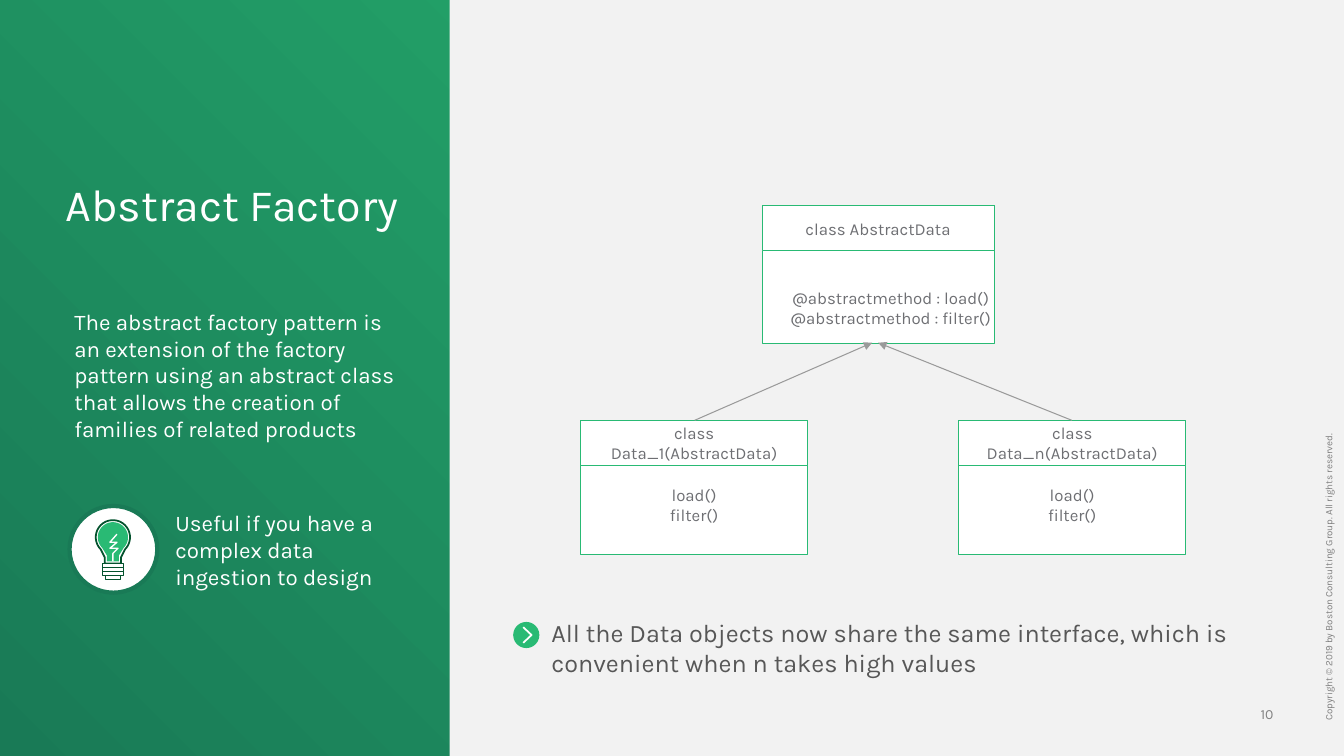
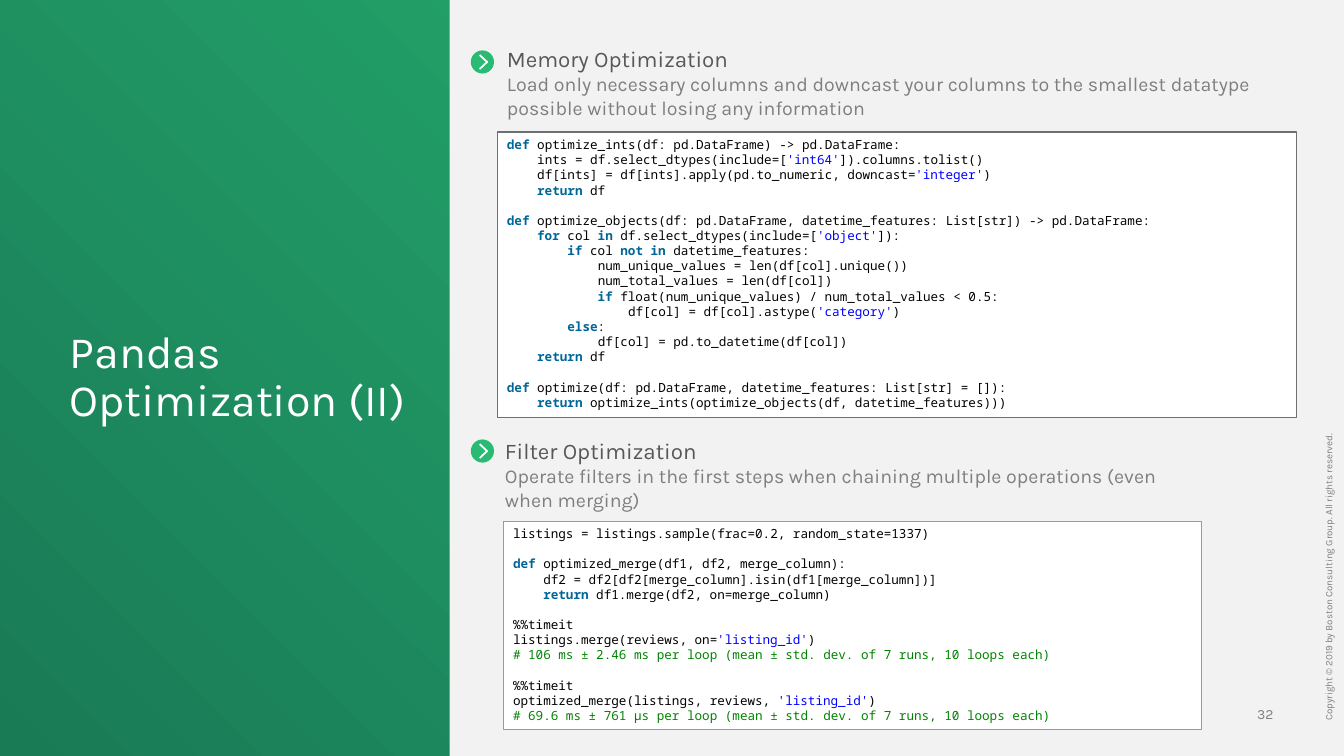
from dataclasses import dataclass
from itertools import groupby
from math import cos, radians, sin

from lxml import etree
from pptx import Presentation
from pptx.dml.color import RGBColor
from pptx.enum.shapes import MSO_CONNECTOR, MSO_SHAPE
from pptx.enum.text import MSO_ANCHOR, PP_ALIGN
from pptx.oxml.ns import qn
from pptx.util import Inches, Pt

RECTANGLE, OVAL = MSO_SHAPE.RECTANGLE, MSO_SHAPE.OVAL
STRAIGHT = MSO_CONNECTOR.STRAIGHT
TOP, MIDDLE, BOTTOM = MSO_ANCHOR.TOP, MSO_ANCHOR.MIDDLE, MSO_ANCHOR.BOTTOM
LEFT, CENTER, RIGHT = PP_ALIGN.LEFT, PP_ALIGN.CENTER, PP_ALIGN.RIGHT


@dataclass(frozen=True)
class Theme:
    font: str = "Karla"
    code_font: str = "Noto Sans Mono"
    green: str = "29BA74"
    deep_green: str = "197A56"
    bulb: str = "03522D"
    white: str = "FFFFFF"
    page: str = "F2F2F2"
    heading: str = "575757"
    detail: str = "7F7F7F"
    footer: str = "808080"
    label: str = "6E6F73"
    rule: str = "9A9A9A"
    code: str = "000000"
    keyword: str = "006699"
    string: str = "0000FF"
    comment: str = "008200"
    title_size: float = 32
    message_size: float = 18
    body_size: float = 16
    detail_size: float = 14
    label_size: float = 12
    page_size: float = 10
    code_size: float = 9
    legal_size: float = 7


THEME = Theme()

# Content
COPYRIGHT = "Copyright © 2019 by Boston Consulting Group. All rights reserved."
FACTORY_TITLE = "Abstract Factory"
FACTORY_TEXT = ("The abstract factory pattern is an extension of the factory pattern using an "
                "abstract class that allows the creation of families of related products")
FACTORY_TIP = "Useful if you have a complex data ingestion to design"
FACTORY_MESSAGE = ("All the Data objects now share the same interface, which is convenient "
                   "when n takes high values")
# Class name, box, left and top of its methods, methods
CLASSES = [
    ("class AbstractData", (7.56, 2.04, 2.3, 1.37), (7.71, 2.66),
     ["@abstractmethod : load()", "@abstractmethod : filter()"]),
    ("class Data_1(AbstractData)", (5.76, 4.17, 2.25, 1.33), (5.76, 4.62),
     ["load()", "filter()"]),
    ("class Data_n(AbstractData)", (9.51, 4.17, 2.25, 1.33), (9.51, 4.62),
     ["load()", "filter()"]),
]
INHERITANCE = [((6.89, 4.17), (8.65, 3.4)), ((10.63, 4.17), (8.71, 3.4))]

PANDAS_TITLE = "Pandas Optimization (II)"
# Each listing is a list of blocks, set apart by the height of one line
MEMORY_CODE = [
    ["def optimize_ints(df: pd.DataFrame) -> pd.DataFrame:",
     "    ints = df.select_dtypes(include=['int64']).columns.tolist()",
     "    df[ints] = df[ints].apply(pd.to_numeric, downcast='integer')",
     "    return df"],
    ["def optimize_objects(df: pd.DataFrame, datetime_features: List[str]) -> pd.DataFrame:",
     "    for col in df.select_dtypes(include=['object']):",
     "        if col not in datetime_features:",
     "            num_unique_values = len(df[col].unique())",
     "            num_total_values = len(df[col])",
     "            if float(num_unique_values) / num_total_values < 0.5:",
     "                df[col] = df[col].astype('category')",
     "        else:",
     "            df[col] = pd.to_datetime(df[col])",
     "    return df"],
    ["def optimize(df: pd.DataFrame, datetime_features: List[str] = []):",
     "    return optimize_ints(optimize_objects(df, datetime_features)))"],
]
FILTER_CODE = [
    ["listings = listings.sample(frac=0.2, random_state=1337)"],
    ["def optimized_merge(df1, df2, merge_column):",
     "    df2 = df2[df2[merge_column].isin(df1[merge_column])]",
     "    return df1.merge(df2, on=merge_column)"],
    ["%%timeit",
     "listings.merge(reviews, on='listing_id')",
     "# 106 ms ± 2.46 ms per loop (mean ± std. dev. of 7 runs, 10 loops each)"],
    ["%%timeit",
     "optimized_merge(listings, reviews, 'listing_id')",
     "# 69.6 ms ± 761 µs per loop (mean ± std. dev. of 7 runs, 10 loops each)"],
]
# Heading, detail, text box, bullet top, code, code box, code border
SECTIONS = [
    ("Memory Optimization",
     "Load only necessary columns and downcast your columns to the smallest datatype "
     "possible without losing any information",
     (4.93, 0.38, 7.86, 0.87), 0.5, MEMORY_CODE, (4.93, 1.31, 7.93, 2.83), THEME.label),
    ("Filter Optimization",
     "Operate filters in the first steps when chaining multiple operations "
     "(even when merging)",
     (4.91, 4.27, 7.01, 0.87), 4.36, FILTER_CODE, (4.99, 5.17, 6.93, 2.07), THEME.rule),
]
KEYWORDS = {"def", "return", "for", "in", "if", "not", "else"}


# Drawing helpers
def rgb(color):
    return RGBColor.from_string(color)


def style(shape, fill=None, line=None, width=0.75):
    shape.shadow.inherit = False
    if fill:
        shape.fill.solid()
        shape.fill.fore_color.rgb = rgb(fill)
    else:
        shape.fill.background()
    if line:
        shape.line.color.rgb = rgb(line)
        shape.line.width = Pt(width)
    else:
        shape.line.fill.background()
    return shape


def add_shape(slide, kind, box, fill, line=None, width=0.75):
    shape = slide.shapes.add_shape(kind, *map(Inches, box))
    return style(shape, fill, line, width)


def add_outline(slide, points, close=False, **look):
    points = [(Inches(x), Inches(y)) for x, y in points]
    builder = slide.shapes.build_freeform(*points[0], scale=1.0)
    builder.add_line_segments(points[1:], close=close)
    return style(builder.convert_to_shape(), **look)


def format_font(font, size, color, name=THEME.font):
    font.name, font.size, font.color.rgb = name, Pt(size), rgb(color)


def write(shape, lines, anchor=MIDDLE, align=LEFT, inset=True, spacing=None):
    """Fill a shape with (text, size, color) lines."""
    frame = shape.text_frame
    frame.word_wrap, frame.vertical_anchor = True, anchor
    if not inset:
        frame.margin_left = frame.margin_right = frame.margin_top = frame.margin_bottom = 0
    for index, (text, size, color) in enumerate(lines):
        paragraph = frame.paragraphs[0] if index == 0 else frame.add_paragraph()
        paragraph.text, paragraph.alignment = text, align
        if spacing:
            paragraph.line_spacing = spacing
        format_font(paragraph.font, size, color)


def add_text(slide, box, lines, **options):
    shape = slide.shapes.add_textbox(*map(Inches, box))
    write(shape, lines, **options)
    return shape


def add_arrow(slide, start, end):
    arrow = slide.shapes.add_connector(STRAIGHT, *map(Inches, start + end))
    arrow.line.color.rgb, arrow.line.width = rgb(THEME.rule), Pt(0.75)
    properties = arrow.line._get_or_add_ln()
    etree.SubElement(properties, qn("a:tailEnd"), type="triangle")
    etree.SubElement(arrow._element.spPr, qn("a:effectLst"))


def add_chevron_bullet(slide, left, top, size):
    add_shape(slide, OVAL, (left, top, size, size), THEME.green)
    chevron = [(0.38, 0.2), (0.7, 0.5), (0.38, 0.8)]
    add_outline(slide, [(left + x * size, top + y * size) for x, y in chevron],
                line=THEME.white, width=1.25)


# Light bulb
def bulb_points(center, middle, radius, neck, bottom):
    arc = [(center + radius * cos(radians(angle)), middle + radius * sin(radians(angle)))
           for angle in range(135, 406, 10)]
    foot = [(center + neck, bottom - 0.06), (center + neck, bottom),
            (center - neck, bottom), (center - neck, bottom - 0.06)]
    return arc + foot


def add_bulb(slide):
    center, middle = 1.12, 5.33
    add_shape(slide, OVAL, (0.69, 5.02, 0.87, 0.86), THEME.white, THEME.deep_green, 3)
    add_outline(slide, bulb_points(center, middle, 0.17, 0.08, 5.59), close=True,
                fill=THEME.white, line=THEME.bulb, width=1.25)
    add_outline(slide, bulb_points(center, middle, 0.15, 0.06, 5.57), close=True,
                fill=THEME.green)
    bolt = [(1.16, 5.3), (1.09, 5.38), (1.16, 5.38), (1.09, 5.44),
            (1.17, 5.44), (1.12, 5.49), (1.12, 5.57)]
    add_outline(slide, bolt, line=THEME.white, width=1)
    for row, width in enumerate([0.21, 0.21, 0.21, 0.15]):
        box = (center - width / 2, 5.59 + row * 0.04, width, 0.04)
        add_shape(slide, RECTANGLE, box, THEME.white, THEME.bulb, 1)


# Code listing
def code_runs(line):
    """Yield (text, color) pieces of one line of code."""
    if line.startswith("#"):
        yield line, THEME.comment
        return
    for index, part in enumerate(line.split("'")):
        if index % 2:
            yield f"'{part}'", THEME.string
            continue
        for position, word in enumerate(part.split(" ")):
            if position:
                yield " ", THEME.code
            bare = word.rstrip(":")
            if bare in KEYWORDS:
                yield bare, THEME.keyword
                word = word[len(bare):]
            yield word, THEME.code


def add_code_line(paragraph, line):
    paragraph.alignment = LEFT
    pieces = [piece for piece in code_runs(line) if piece[0]]
    for color, group in groupby(pieces, key=lambda piece: piece[1]):
        run = paragraph.add_run()
        run.text = "".join(text for text, _ in group)
        format_font(run.font, THEME.code_size, color, THEME.code_font)
        run.font.bold = color == THEME.keyword


def add_code(slide, box, blocks, border):
    shape = add_shape(slide, RECTANGLE, box, THEME.white, border)
    frame = shape.text_frame
    frame.word_wrap, frame.vertical_anchor = True, TOP
    for block_index, block in enumerate(blocks):
        for line_index, line in enumerate(block):
            first = block_index == line_index == 0
            paragraph = frame.paragraphs[0] if first else frame.add_paragraph()
            if block_index and line_index == 0:
                paragraph.space_before = Pt(THEME.code_size * 1.2)
            add_code_line(paragraph, line)


# Slides
def add_slide(presentation, title, title_box, page_number):
    slide = presentation.slides.add_slide(presentation.slide_layouts[6])
    fill = slide.background.fill
    fill.gradient()
    fill.gradient_angle = 225
    stops = zip(fill.gradient_stops, (0, 1), (THEME.green, THEME.deep_green))
    for stop, position, color in stops:
        stop.position, stop.color.rgb = position, rgb(color)
    add_shape(slide, RECTANGLE, (4.46, 0, 8.87, 7.5), THEME.page)
    legal = add_text(slide, (10.38, 4.29, 5.61, 0.11),
                     [(COPYRIGHT, THEME.legal_size, THEME.footer)],
                     anchor=TOP, inset=False, spacing=0.9)
    legal.rotation = 270
    add_text(slide, (12.21, 7, 0.42, 0.17),
             [(page_number, THEME.page_size, THEME.footer)],
             anchor=BOTTOM, align=RIGHT, inset=False)
    add_text(slide, title_box, [(title, THEME.title_size, THEME.white)],
             inset=False, spacing=0.9)
    return slide


def build_factory(presentation):
    slide = add_slide(presentation, FACTORY_TITLE, (0.65, 1.78, 3.42, 0.55), "10")
    add_text(slide, (0.64, 2.93, 3.46, 1.58), [(FACTORY_TEXT, THEME.body_size, THEME.white)])
    add_bulb(slide)
    add_text(slide, (1.64, 4.9, 2.2, 1.11), [(FACTORY_TIP, THEME.body_size, THEME.white)])
    for name, box, (left, top), methods in CLASSES:
        add_shape(slide, RECTANGLE, box, THEME.white, THEME.green)
        header = add_shape(slide, RECTANGLE, box[:3] + (0.45,), THEME.white, THEME.green)
        write(header, [(name, THEME.label_size, THEME.label)], align=CENTER)
        add_text(slide, (left, top, 2.25, 0.78),
                 [(method, THEME.label_size, THEME.label) for method in methods],
                 align=CENTER)
    for start, end in INHERITANCE:
        add_arrow(slide, start, end)
    add_chevron_bullet(slide, 5.09, 6.17, 0.26)
    add_text(slide, (5.37, 5.93, 7.43, 0.98),
             [(FACTORY_MESSAGE, THEME.message_size, THEME.heading)])


def build_pandas(presentation):
    slide = add_slide(presentation, PANDAS_TITLE, (0.69, 2.93, 3.42, 1.64), "32")
    for heading, detail, text_box, bullet_top, code, code_box, border in SECTIONS:
        add_text(slide, text_box, [(heading, THEME.body_size, THEME.heading),
                                   (detail, THEME.detail_size, THEME.detail)])
        add_chevron_bullet(slide, 4.67, bullet_top, 0.23)
        add_code(slide, code_box, code, border)


def main():
    presentation = Presentation()
    presentation.slide_width, presentation.slide_height = Inches(13.33), Inches(7.5)
    build_factory(presentation)
    build_pandas(presentation)
    presentation.save("out.pptx")


if __name__ == "__main__":
    main()
